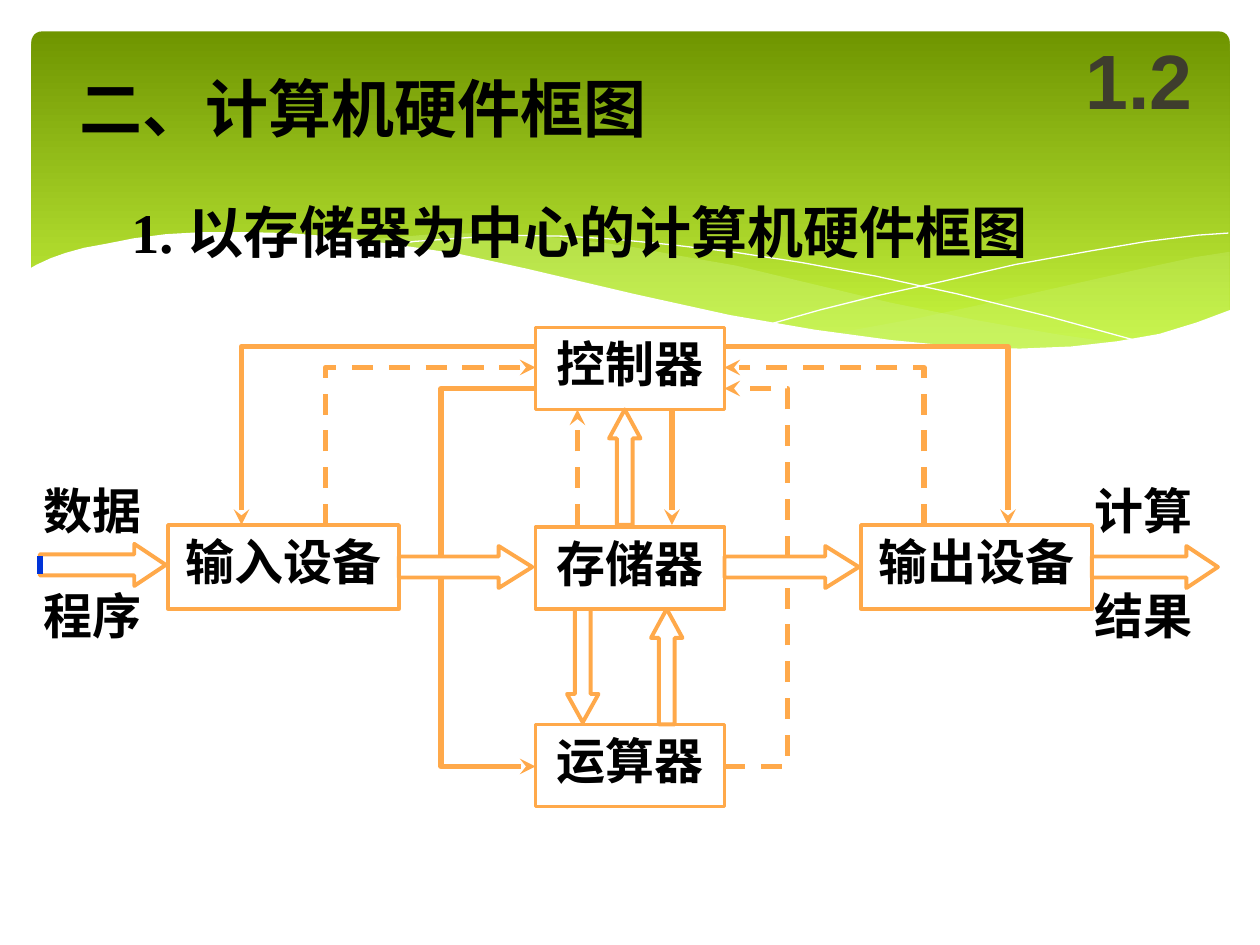
from lxml import etree
from pptx import Presentation
from pptx import util as u
from pptx.dml.color import RGBColor
from pptx.enum import dml, shapes, text
from pptx.oxml import ns

PX = 7620  # 120 px to the inch
ORANGE = RGBColor(0xFF, 0xA9, 0x4A)
BLUE = RGBColor(0x00, 0x33, 0xD8)
BLACK = RGBColor(0x00, 0x00, 0x00)
WHITE = RGBColor(0xFF, 0xFF, 0xFF)
OLIVE = RGBColor(0x3E, 0x3D, 0x2D)
LIME = RGBColor(0xCA, 0xF2, 0x78)
DARK_GREEN = RGBColor(0x6F, 0x95, 0x00)
LIGHT_GREEN = RGBColor(0xD0, 0xFF, 0x44)
CJK = "Noto Sans CJK SC"
LEFT, CENTER = text.PP_ALIGN.LEFT, text.PP_ALIGN.CENTER
TOP, MIDDLE = text.MSO_ANCHOR.TOP, text.MSO_ANCHOR.MIDDLE


def write(box, words, size, align=LEFT, name=CJK, color=BLACK, wrap=True, anchor=TOP):
    frame = box.text_frame
    for key, value in {"word_wrap": wrap, "auto_size": text.MSO_AUTO_SIZE.NONE,
                       "vertical_anchor": anchor}.items():
        setattr(frame, key, value)
    para = frame.paragraphs[0]
    para.alignment, para.space_before = align, u.Pt(0)
    span = para.add_run()
    span.text = words
    for key, value in {"size": u.Pt(size), "name": name, "bold": True}.items():
        setattr(span.font, key, value)
    span.font.color.rgb = color
    east_asian = etree.SubElement(span.font._element, ns.qn("a:ea"))
    east_asian.set("typeface", CJK)


def stroke(item, width, color=ORANGE, dashed=False, arrow=False):
    item.line.color.rgb = color
    item.line.width = u.Pt(width)
    if dashed:
        item.line.dash_style = dml.MSO_LINE.DASH
    if arrow:
        tail = etree.SubElement(item.line._get_or_add_ln(), ns.qn("a:tailEnd"))
        tail.set("type", "stealth")


deck = Presentation()
deck.slide_width, deck.slide_height = 1200 * PX, 900 * PX
page = deck.slides.add_slide(deck.slide_layouts[1])
items = page.shapes
title, body = page.placeholders[0], page.placeholders[1]

# Green banner with waves
banner = items.add_shape(shapes.MSO_SHAPE.ROUNDED_RECTANGLE,
                         *[n * PX for n in (30, 30, 1141, 324)])
banner.adjustments[0] = 0.03
banner.shadow.inherit = False
banner.line.fill.background()
banner.fill.gradient()
banner.fill.gradient_angle = 270
for stop, color, position in zip(banner.fill.gradient_stops,
                                 (DARK_GREEN, LIGHT_GREEN), (0, 1)):
    stop.color.rgb, stop.position = color, position

right_wave = [
    (1170, 240), (1138, 245), (1087, 256), (998, 276), (935, 290), (875, 303),
    (793, 318), (829, 323), (878, 329), (923, 332), (964, 334), (1013, 332),
    (1057, 328), (1096, 320), (1130, 311), (1171, 296), (1171, 240)]
middle_wave = [
    (1072, 328), (1004, 318), (930, 305), (847, 288), (755, 266), (701, 253),
    (649, 244), (601, 235), (557, 229), (504, 224), (456, 222), (413, 223),
    (376, 226), (343, 229), (388, 235), (434, 244), (485, 253), (539, 266),
    (636, 288), (721, 306), (780, 317), (834, 324), (883, 330), (928, 334),
    (968, 335), (1006, 334), (1040, 332)]
falling_line = [
    (371, 234), (394, 230), (436, 227), (481, 224), (540, 225), (587, 228),
    (638, 233), (698, 240), (763, 250), (834, 263), (912, 280), (997, 301), (1088, 326)]
rising_line = [
    (736, 308), (782, 295), (834, 282), (898, 268), (967, 252), (1039, 239),
    (1092, 230), (1141, 224), (1170, 222)]
white_wave = [
    (1172, 295), (1140, 307), (1104, 318), (1064, 325), (1020, 330), (971, 332),
    (913, 330), (850, 324), (776, 314), (695, 300), (604, 280), (502, 256),
    (438, 242), (378, 233), (325, 226), (276, 222), (232, 221), (193, 221),
    (158, 223), (127, 227), (102, 232), (80, 236), (62, 241), (48, 246),
    (35, 252), (28, 256), (28, 395), (1172, 395)]

for points, color, opacity in [(right_wave, LIME, 29), (middle_wave, LIME, 40),
                               (falling_line, None, 0), (rising_line, None, 0),
                               (white_wave, WHITE, 100)]:
    builder = items.build_freeform(*points[0], scale=PX)
    builder.add_line_segments(points[1:], close=color is not None)
    wave = builder.convert_to_shape()
    wave.shadow.inherit = False
    if color is None:
        wave.fill.background()
        stroke(wave, 0, WHITE)
        continue
    wave.fill.solid()
    wave.fill.fore_color.rgb = color
    wave.line.fill.background()
    if opacity < 100:
        tint = wave._element.spPr.find(".//" + ns.qn("a:srgbClr"))
        etree.SubElement(tint, ns.qn("a:alpha")).set("val", str(opacity * 1000))

# Headings, above the banner
for holder, area in [(title, (64, 60, 846, 84)), (body, (113, 182, 960, 77))]:
    holder.left, holder.top, holder.width, holder.height = [n * PX for n in area]
    items._spTree.append(holder._element)
properties = body.text_frame.paragraphs[0]._p.get_or_add_pPr()
properties.set("marL", "0")
properties.set("indent", "0")
etree.SubElement(properties, ns.qn("a:buNone"))
write(title, "二、计算机硬件框图", 36)
write(body, "1. 以存储器为中心的计算机硬件框图", 32, name="Times New Roman")
section = items.add_textbox(*[n * PX for n in (1010, 20, 150, 110)])
write(section, "1.2", 44, CENTER, "Arial", OLIVE, anchor=MIDDLE)

# Units
for words, *area in [("存储器", 510, 502, 180, 78), ("输出设备", 820, 500, 220, 80),
                     ("输入设备", 160, 500, 220, 80), ("运算器", 510, 690, 180, 78),
                     ("控制器", 510, 312, 180, 78)]:
    unit = items.add_shape(shapes.MSO_SHAPE.RECTANGLE, *[n * PX for n in area])
    unit.shadow.inherit = False
    unit.fill.background()
    stroke(unit, 2)
    write(unit, words, 28, CENTER)

# Data flow
RIGHT = shapes.MSO_SHAPE.RIGHT_ARROW
UP, DOWN = shapes.MSO_SHAPE.UP_ARROW, shapes.MSO_SHAPE.DOWN_ARROW
for kind, head, *area in [
        (RIGHT, 0.75, 38, 518, 120, 40), (RIGHT, 0.8, 380, 520, 127, 40),
        (RIGHT, 0.8, 690, 520, 128, 40), (RIGHT, 0.75, 1040, 520, 120, 40),
        (UP, 0.92, 580, 390, 30, 110), (UP, 0.92, 620, 580, 30, 110),
        (DOWN, 0.9, 540, 580, 30, 108)]:
    flow = items.add_shape(kind, *[n * PX for n in area])
    flow.adjustments[1] = head
    flow.shadow.inherit = False
    flow.fill.background()
    stroke(flow, 2.25)

# Control (solid) and feedback (dashed) paths with a corner
for points, dashed, arrow in [
        ([(420, 530), (420, 370), (510, 370)], False, False),
        ([(420, 550), (420, 730), (510, 730)], False, True),
        ([(690, 730), (750, 730), (750, 550)], True, False),
        ([(750, 530), (750, 370), (690, 370)], True, True),
        ([(310, 500), (310, 350), (510, 350)], True, True),
        ([(510, 330), (230, 330), (230, 500)], False, True),
        ([(880, 500), (880, 350), (690, 350)], True, True),
        ([(690, 330), (960, 330), (960, 500)], False, True)]:
    builder = items.build_freeform(*points[0], scale=PX)
    builder.add_line_segments(points[1:], close=False)
    route = builder.convert_to_shape()
    route.shadow.inherit = False
    route.fill.background()
    stroke(route, 3, dashed=dashed, arrow=arrow)

# Straight lines
for x, start, end, color, dashed, arrow in [
        (550, 500, 390, ORANGE, True, True), (640, 390, 500, ORANGE, False, True),
        (38, 530, 547, BLUE, False, False)]:
    link = items.add_connector(shapes.MSO_CONNECTOR.STRAIGHT,
                               *[n * PX for n in (x, start, x, end)])
    stroke(link, 3, color, dashed, arrow)
    etree.SubElement(link._element.spPr, ns.qn("a:effectLst"))

# Input and output labels
for words, left, top in [("数据", 30, 452), ("程序", 30, 552),
                         ("计算", 1031, 452), ("结果", 1031, 552)]:
    label = items.add_textbox(*[n * PX for n in (left, top, 116, 68)])
    write(label, words, 28, wrap=False)

deck.save("out.pptx")
